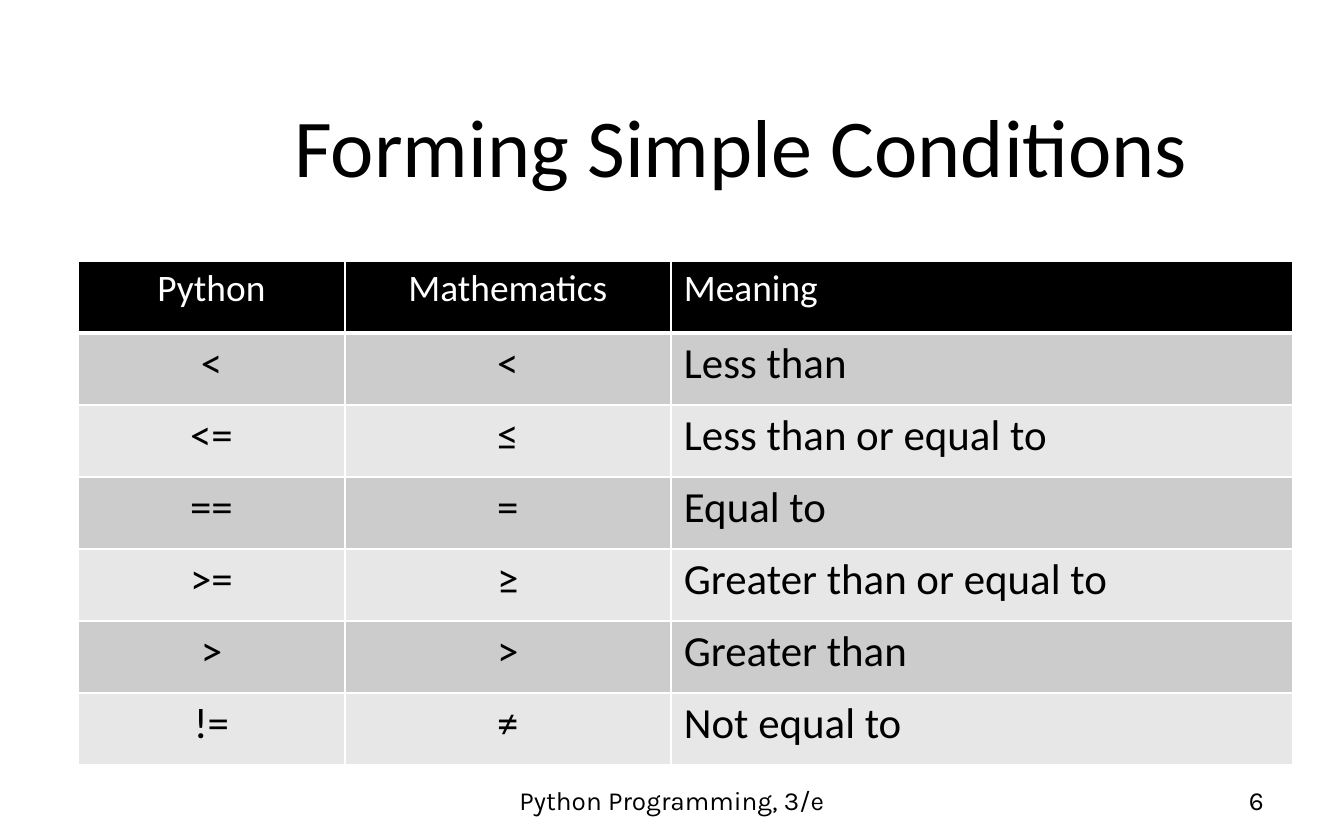
from dataclasses import dataclass

from lxml.etree import SubElement
from pptx import Presentation
from pptx.dml.color import RGBColor
from pptx.enum.text import MSO_ANCHOR, PP_ALIGN
from pptx.oxml.ns import qn
from pptx.util import Emu, Pt


@dataclass(frozen=True)
class Theme:
    black: str = "000000"
    white: str = "FFFFFF"
    bands: tuple = ("CCCCCC", "E7E7E7")
    body_font: str = "Calibri"
    footer_font: str = "Karla"
    title_size: int = 44
    header_size: int = 20
    cell_size: int = 23
    footer_size: int = 14


THEME = Theme()
EMU_PER_PX = 914400 / 134.4
COLUMN_WIDTHS = (267, 326, 622)
COLUMN_ALIGNMENTS = (PP_ALIGN.CENTER, PP_ALIGN.CENTER, PP_ALIGN.LEFT)
ROW_HEIGHT = 72
CONDITIONS = (
    ("Python", "Mathematics", "Meaning"),
    ("<", "<", "Less than"),
    ("<=", "≤", "Less than or equal to"),
    ("==", "=", "Equal to"),
    (">=", "≥", "Greater than or equal to"),
    (">", ">", "Greater than"),
    ("!=", "≠", "Not equal to"),
)


def px(length):
    return Emu(round(length * EMU_PER_PX))


def write_text(frame, text, *, size, font=THEME.body_font, color=THEME.black,
               align=PP_ALIGN.CENTER):
    para = frame.paragraphs[0]
    para.alignment = align
    span = para.add_run()
    span.text = text
    span.font.size = Pt(size)
    span.font.name = font
    span.font.color.rgb = RGBColor.from_string(color)


def add_text_box(page, text, left, top, width, height, **text_format):
    box = page.shapes.add_textbox(px(left), px(top), px(width), px(height))
    frame = box.text_frame
    frame.word_wrap = True
    frame.vertical_anchor = MSO_ANCHOR.MIDDLE
    write_text(frame, text, **text_format)


def set_borders(cell, bottom_width):
    properties = cell._tc.get_or_add_tcPr()
    for side, width in (("L", 1), ("R", 1), ("T", 1), ("B", bottom_width)):
        line = SubElement(properties, qn(f"a:ln{side}"), w=str(Pt(width)))
        fill = SubElement(line, qn("a:solidFill"))
        SubElement(fill, qn("a:srgbClr"), val=THEME.white)


def style_cell(cell, fill, bottom_width):
    cell.margin_left = cell.margin_right = px(13)
    cell.margin_top = cell.margin_bottom = px(5)
    set_borders(cell, bottom_width)
    cell.fill.solid()
    cell.fill.fore_color.rgb = RGBColor.from_string(fill)


def add_condition_table(page, left, top):
    row_count = len(CONDITIONS)
    table = page.shapes.add_table(
        row_count, len(COLUMN_WIDTHS), px(left), px(top),
        px(sum(COLUMN_WIDTHS)), px(row_count * ROW_HEIGHT),
    ).table
    for column, width in zip(table.columns, COLUMN_WIDTHS):
        column.width = px(width)
    for row_index, texts in enumerate(CONDITIONS):
        is_header = row_index == 0
        fill = THEME.black if is_header else THEME.bands[(row_index - 1) % 2]
        for column_index, text in enumerate(texts):
            cell = table.cell(row_index, column_index)
            style_cell(cell, fill, 3 if is_header else 1)
            write_text(
                cell.text_frame, text,
                size=THEME.header_size if is_header else THEME.cell_size,
                color=THEME.white if is_header else THEME.black,
                align=COLUMN_ALIGNMENTS[column_index],
            )


def main():
    deck = Presentation()
    deck.slide_width, deck.slide_height = px(1344), px(840)
    page = deck.slides.add_slide(deck.slide_layouts[6])
    footer = {"size": THEME.footer_size, "font": THEME.footer_font}
    add_text_box(page, "Python Programming, 3/e", 459, 778, 426, 45, **footer)
    add_text_box(page, "6", 963, 778, 314, 45, align=PP_ALIGN.RIGHT, **footer)
    add_text_box(page, "Forming Simple Conditions", 169, 75, 1145, 140,
                 size=THEME.title_size)
    add_condition_table(page, 78, 261)
    deck.save("out.pptx")


if __name__ == "__main__":
    main()
